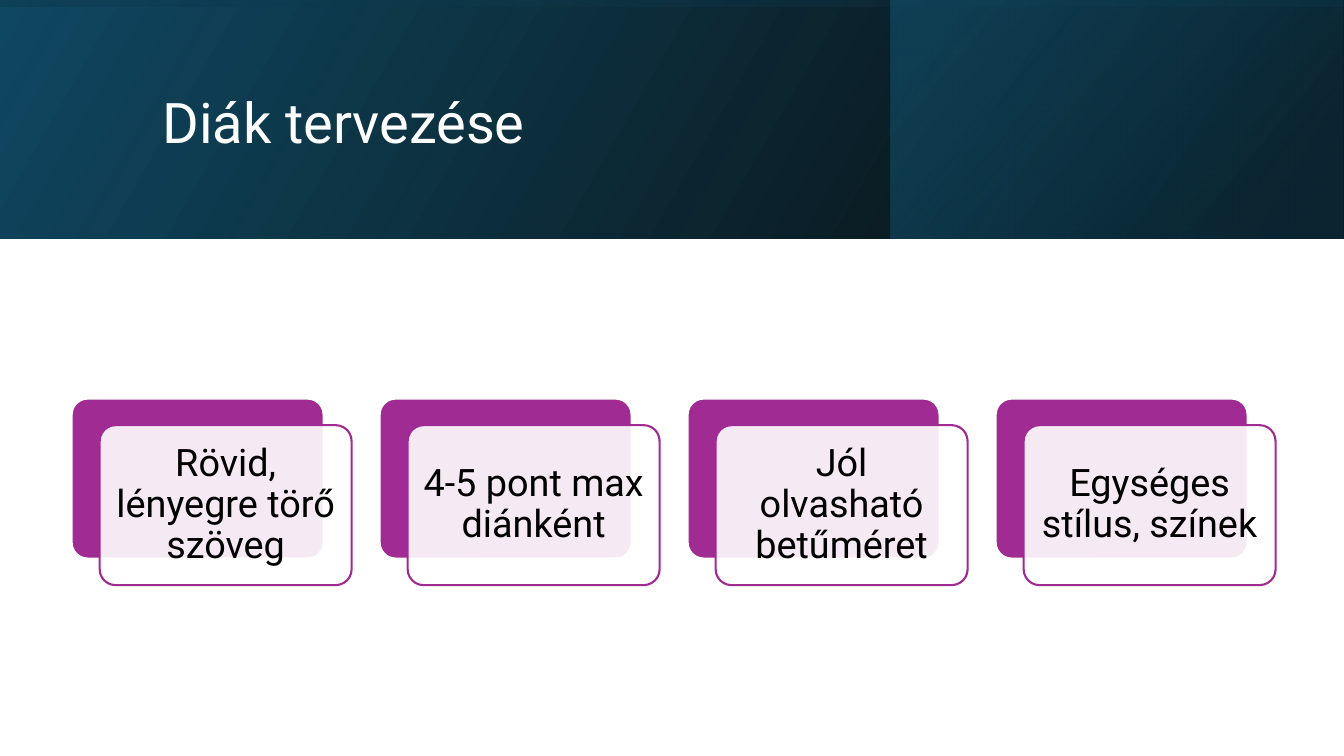
from pptx import Presentation
from pptx.dml.color import RGBColor as RGB
from pptx.enum.shapes import MSO_SHAPE as Kind
from pptx.enum.text import MSO_ANCHOR as Anchor, PP_ALIGN as Align
from pptx.oxml import parse_xml
from pptx.oxml.ns import nsdecls, qn
from pptx.util import Pt
from lxml.etree import SubElement

HUES = {"white": "FFFFFF", "black": "000000", "plum": "A02B93",
        "navy": "104862", "deep": "0B3041", "teal": "156082"}
FONT = "Roboto"
WIDE, HIGH = 960, 540
HEAD = 170.64  # height of the header band

CARDS = ["Rövid, lényegre törő szöveg", "4-5 pont max diánként",
         "Jól olvasható betűméret", "Egységes stílus, színek"]


def tint(name):
    return RGB.from_string(HUES[name])


def add_box(slide, kind, left, top, width, height):
    box = slide.shapes.add_shape(kind, Pt(left), Pt(top), Pt(width), Pt(height))
    box.shadow.inherit = False
    return box


def add_band(slide, left, top, width, height, stops, angle, turn=0):
    """Mirrored rectangle with a gradient of (position, colour, opacity) stops."""
    band = add_box(slide, Kind.RECTANGLE, left, top, width, height)
    band.line.fill.background()
    band.rotation = turn
    props = band._element.spPr
    props.find(qn("a:xfrm")).set("flipH", "1")
    marks = "".join(
        f'<a:gs pos="{pos * 1000}"><a:srgbClr val="{HUES[hue]}">'
        f'<a:alpha val="{alpha * 1000}"/></a:srgbClr></a:gs>'
        for pos, hue, alpha in stops)
    fade = parse_xml(
        f'<a:gradFill {nsdecls("a")} rotWithShape="1"><a:gsLst>{marks}</a:gsLst>'
        f'<a:lin ang="{angle * 60000}" scaled="0"/></a:gradFill>')
    props.find(qn("a:prstGeom")).addnext(fade)


def add_text(shape, text, size, hue, align, inset):
    frame = shape.text_frame
    frame.word_wrap = True
    frame.vertical_anchor = Anchor.MIDDLE
    frame.margin_left = frame.margin_right = Pt(inset)
    frame.margin_top = frame.margin_bottom = Pt(inset)
    para = frame.paragraphs[0]
    para.alignment = align
    para.line_spacing = 0.9
    run = para.add_run()
    run.text = text
    run.font.size = Pt(size)
    run.font.name = FONT
    run.font.color.rgb = tint(hue)


def add_plate(slide, left, top, fill, line):
    plate = add_box(slide, Kind.ROUNDED_RECTANGLE, left, top, 180, 114.3)
    plate.adjustments[0] = 0.1
    plate.fill.solid()
    plate.fill.fore_color.rgb = tint(fill)
    plate.line.color.rgb = tint(line)
    plate.line.width = Pt(1.5)
    return plate


def add_card(slide, left, top, text):
    add_plate(slide, left, top, "plum", "white")
    front = add_plate(slide, left + 20, top + 19, "white", "plum")
    # Let the back plate show faintly through the front one
    shade = front._element.spPr.find(qn("a:solidFill"))[0]
    SubElement(shade, qn("a:alpha")).set("val", "90000")
    add_text(front, text, 27, "black", Align.CENTER, 7.8)


def main():
    deck = Presentation()
    deck.slide_width, deck.slide_height = Pt(WIDE), Pt(HIGH)
    slide = deck.slides.add_slide(deck.slide_layouts[6])

    # Header: three layered gradients, the last one turned on its side
    add_band(slide, 0, 0, WIDE, HEAD,
             [(0, "black", 96), (100, "navy", 100)], 330)
    add_band(slide, 636.5, 0, 322.8, HEAD,
             [(19, "deep", 68), (100, "teal", 48)], 320)
    add_band(slide, (WIDE - HEAD) / 2, (HEAD - WIDE) / 2, HEAD, WIDE,
             [(23, "navy", 16), (99, "black", 45)], 350, turn=270)

    # Title
    title = slide.shapes.add_textbox(Pt(109), Pt(27.4), Pt(765), Pt(124))
    add_text(title, "Diák tervezése", 40, "white", Align.LEFT, 7.2)

    # Row of cards
    for index, text in enumerate(CARDS):
        add_card(slide, 51.2 + 220 * index, 284.7, text)

    deck.save("out.pptx")


if __name__ == "__main__":
    main()
